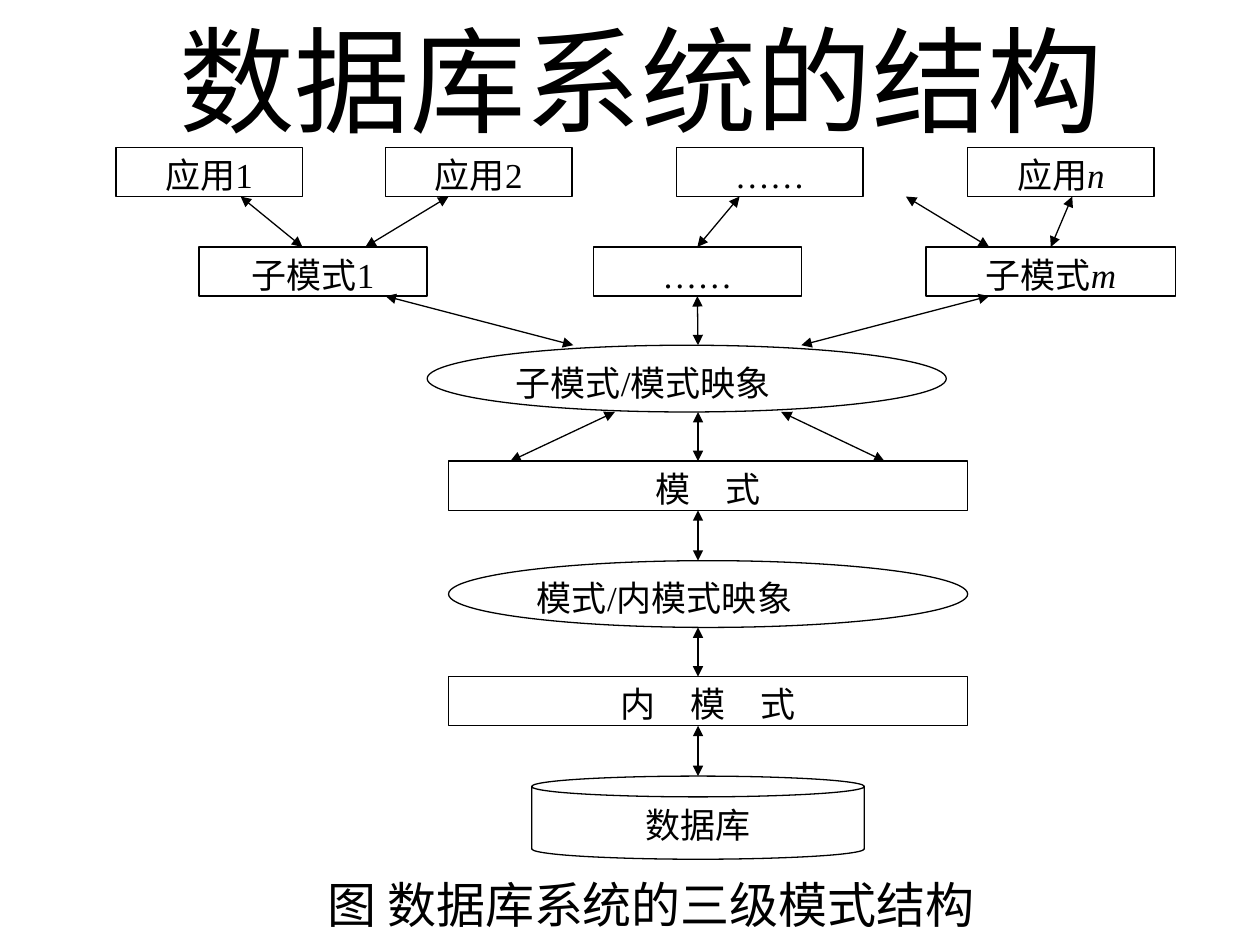
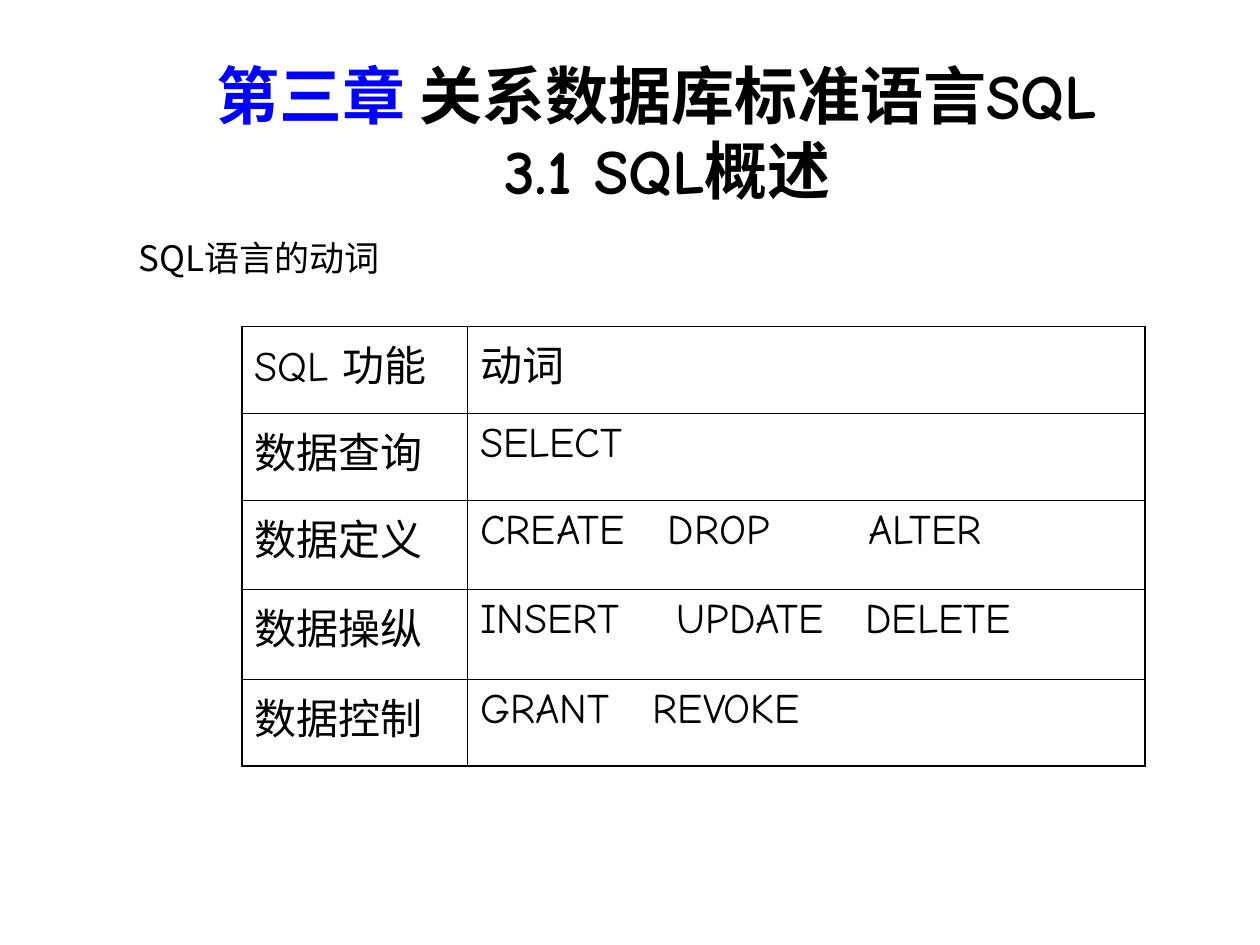
from lxml import etree
from pptx import Presentation, util as u
from pptx.dml.color import RGBColor
from pptx.enum import shapes, text
from pptx.oxml.ns import qn

BLACK, WHITE, BLUE = "000000", "FFFFFF", "0000FF"
SERIF, COMIC, SANS = "Times New Roman", "Comic Neue", "Noto Sans CJK SC"
LEFT, CENTER, JUSTIFY = text.PP_ALIGN.LEFT, text.PP_ALIGN.CENTER, text.PP_ALIGN.JUSTIFY
TOP, MIDDLE = text.MSO_ANCHOR.TOP, text.MSO_ANCHOR.MIDDLE


def color(value):
    return RGBColor.from_string(value)


def write(frame, runs, size, font, align=LEFT, tabs=()):
    """Fill the first paragraph with (wording, changed formats) runs; tabs are in inches."""
    paragraph = frame.paragraphs[0]
    paragraph.alignment = align
    if tabs:
        tab_list = etree.SubElement(paragraph._p.get_or_add_pPr(), qn("a:tabLst"))
        for position in tabs:
            etree.SubElement(tab_list, qn("a:tab"), pos=str(u.Inches(position)), algn="l")
    for index, (wording, changes) in enumerate(runs):
        for part, line in enumerate(wording.split("\n")):
            if part:
                paragraph.add_line_break()
            run = paragraph.add_run()
            run.text = line
            formats = {"size": u.Pt(size), "name": font, "color": BLACK} | changes
            run.font.color.rgb = color(formats.pop("color"))
            for name, value in formats.items():
                setattr(run.font, name, value)
            etree.SubElement(run._r.get_or_add_rPr(), qn("a:ea"), typeface=SANS)


prs = Presentation()
prs.slide_width, prs.slide_height = u.Inches(10), u.Inches(7.5)
structure, verbs = [prs.slides.add_slide(prs.slide_layouts[6]) for _ in range(2)]

# Three-level schema diagram: each level has a top, a height and a shape
RECT, ELLIPSE = shapes.MSO_SHAPE.RECTANGLE, shapes.MSO_SHAPE.OVAL
PROCESS, CAN = shapes.MSO_SHAPE.FLOWCHART_PROCESS, shapes.MSO_SHAPE.CAN
ITALIC = {"italic": True}
levels = [
    (1.17, 0.39, RECT, [(0.92, 1.48, [("应用1", {})]),
                        (3.06, 1.48, [("应用2", {})]),
                        (5.37, 1.48, [("……", {})]),
                        (7.68, 1.48, [("应用", {}), ("n", ITALIC)])]),
    (1.96, 0.39, RECT, [(1.58, 1.81, [("子模式1", {})]),
                        (4.71, 1.65, [("……", {})]),
                        (7.35, 1.98, [("子模式", {}), ("m", ITALIC)])]),
    (2.74, 0.53, ELLIPSE, [(3.39, 4.12, [("子模式/模式映象", {})])]),
    (3.66, 0.39, PROCESS, [(3.56, 4.12, [("模　式", {})])]),
    (4.45, 0.53, ELLIPSE, [(3.56, 4.12, [("模式/内模式映象", {})])]),
    (5.37, 0.39, PROCESS, [(3.56, 4.12, [("内　模　式", {})])]),
    (6.16, 0.66, CAN, [(4.22, 2.64, [("数据库", {})])]),
]
side_middles = {}
for level, (top, height, outline, nodes) in enumerate(levels):
    for left, width, runs in nodes:
        node = structure.shapes.add_shape(
            outline, u.Inches(left), u.Inches(top), u.Inches(width), u.Inches(height))
        node.shadow.inherit = False
        node.fill.solid()
        node.fill.fore_color.rgb = color(WHITE)
        node.line.color.rgb = color(BLACK)
        node.line.width = u.Pt(0.75)
        node.text_frame.vertical_anchor = TOP
        write(node.text_frame, runs, 20, SERIF, JUSTIFY if outline == ELLIPSE else CENTER)
        if outline == RECT:
            side_middles[level, round(left + width / 2, 2)] = node

# For each gap between levels: (x at the upper level, x at the lower level)
MAIN_X = 5.54
side_middles[1, MAIN_X] = structure.shapes[5]
mappings = [
    [(1.91, 2.4), (3.56, 2.9), (5.87, MAIN_X), (7.19, 7.85), (8.51, 8.34)],
    [(3.06, 4.55), (MAIN_X, MAIN_X), (7.85, 6.36)],
    [(4.88, 4.05), (MAIN_X, MAIN_X), (6.2, 7.02)],
    [(MAIN_X, MAIN_X)],
    [(MAIN_X, MAIN_X)],
    [(MAIN_X, MAIN_X)],
]
for level, links in enumerate(mappings):
    bottom, next_top = levels[level][0] + levels[level][1], levels[level + 1][0]
    for upper_x, lower_x in links:
        arrow = structure.shapes.add_connector(
            shapes.MSO_CONNECTOR.STRAIGHT, u.Inches(upper_x), u.Inches(bottom),
            u.Inches(lower_x), u.Inches(next_top))
        if (level, upper_x) in side_middles:
            arrow.begin_connect(side_middles[level, upper_x], 2)
        if (level + 1, lower_x) in side_middles:
            arrow.end_connect(side_middles[level + 1, lower_x], 0)
        arrow.line.color.rgb = color(BLACK)
        arrow.line.width = u.Pt(0.75)
        for end in ("a:headEnd", "a:tailEnd"):
            etree.SubElement(arrow.line._get_or_add_ln(), qn(end), type="triangle")
        etree.SubElement(arrow._element.spPr, qn("a:effectLst"))

# Titles, caption and lead line
BOLD = {"bold": True}
headings = [
    (structure, (0.59, 0, 9, 1.25), [("数据库系统的结构", {})], 66, COMIC, CENTER, MIDDLE, 1),
    (structure, (2.5, 6.98, 6.17, 0.6), [("图 数据库系统的三级模式结构", {})],
     28, COMIC, LEFT, TOP, 0.8),
    (verbs, (1, 0.42, 8.42, 1.25),
     [("第三章 ", BOLD | {"name": SANS, "color": BLUE}),
      ("关系数据库标准语言SQL\n 3.1 SQL概述", BOLD)], 36, COMIC, CENTER, MIDDLE, 1),
    (verbs, (1, 1.83, 8.42, 0.5), [("SQL语言的动词", {})], 20, SANS, LEFT, TOP, 1),
]
for slide, place, runs, size, font, align, anchor, spacing in headings:
    frame = slide.shapes.add_textbox(*map(u.Inches, place)).text_frame
    frame.word_wrap = True
    frame.auto_size = text.MSO_AUTO_SIZE.NONE
    frame.vertical_anchor = anchor
    frame.paragraphs[0].line_spacing = spacing
    write(frame, runs, size, font, align)

# Table of SQL verbs: function, verbs, tab stops, row height
verb_rows = [
    ("SQL 功能", "动词", (), 0.69),
    ("数据查询", "SELECT", (), 0.69),
    ("数据定义", "CREATE\tDROP\tALTER", (1.49, 3.08), 0.71),
    ("数据操纵", "INSERT\tUPDATE\tDELETE", (1.56, 3.06), 0.71),
    ("数据控制", "GRANT\tREVOKE", (1.37,), 0.69),
]
OUTER, INNER = 1.08, 0.45
verb_table = verbs.shapes.add_table(
    len(verb_rows), 2, u.Inches(1.92), u.Inches(2.59), u.Inches(7.17), u.Inches(3.49)).table
for column, width in zip(verb_table.columns, (1.79, 5.38)):
    column.width = u.Inches(width)
for row, (function, words, tabs, height) in enumerate(verb_rows):
    verb_table.rows[row].height = u.Inches(height)
    for column, (wording, stops) in enumerate([(function, ()), (words, tabs)]):
        cell = verb_table.cell(row, column)
        write(cell.text_frame, [(wording, {})], 24, COMIC, tabs=stops)
        on_edge = {"L": column == 0, "R": column == 1,
                   "T": row == 0, "B": row == len(verb_rows) - 1}
        for side, outer in on_edge.items():
            border = etree.SubElement(cell._tc.get_or_add_tcPr(), qn(f"a:ln{side}"),
                                      w=str(u.Pt(OUTER if outer else INNER)))
            fill = etree.SubElement(border, qn("a:solidFill"))
            etree.SubElement(fill, qn("a:srgbClr"), val=BLACK)
        cell.fill.background()

prs.save("out.pptx")
